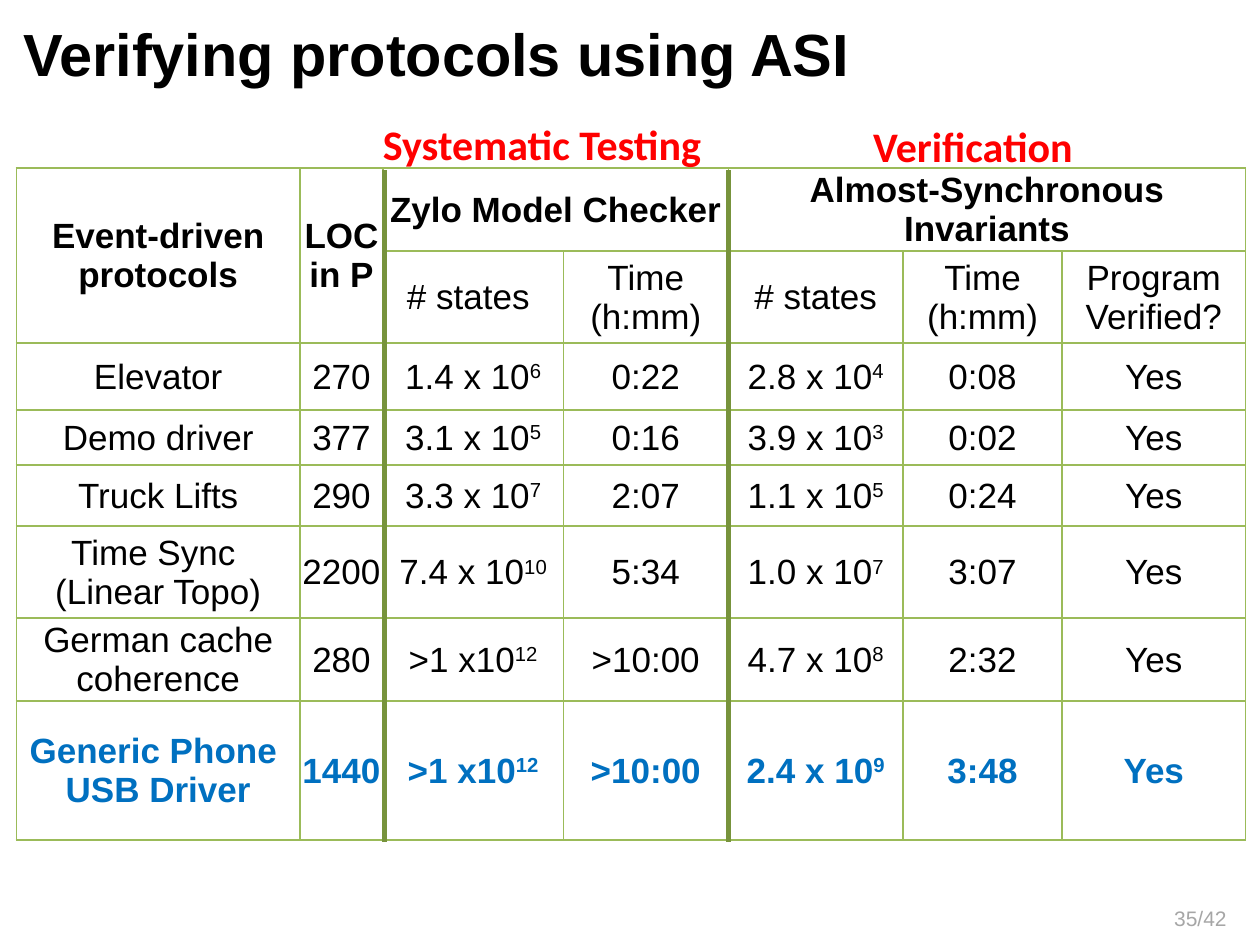
from pptx import Presentation
from pptx.dml.color import RGBColor
from pptx.enum.shapes import MSO_CONNECTOR
from pptx.enum.text import MSO_ANCHOR, PP_ALIGN
from pptx.oxml import parse_xml
from pptx.oxml.ns import nsdecls
from pptx.util import Pt

LINE = MSO_CONNECTOR.STRAIGHT
TOP, MIDDLE = MSO_ANCHOR.TOP, MSO_ANCHOR.MIDDLE
LEFT, CENTER, RIGHT = PP_ALIGN.LEFT, PP_ALIGN.CENTER, PP_ALIGN.RIGHT
GREEN, BLUE, BLACK = "9BBB59", "0070C0", "000000"

COLS = [162, 47.5, 103, 94.3, 100, 90.7, 105]
ROWS = [47.5, 52.5, 38.2, 31.5, 35, 52.5, 47.5, 79.3]
# "^" starts a superscript, "\v" breaks a line, "\n" starts a paragraph
DATA = [
    ["Event-driven protocols", "LOC\vin P", "Zylo Model Checker", "",
     "Almost-Synchronous\nInvariants", "", ""],
    ["", "", "# states ", "Time (h:mm)", "# states", "Time (h:mm)", "Program Verified?"],
    ["Elevator", "270", "1.4 x 10^6", "0:22", "2.8 x 10^4", "0:08", "Yes"],
    ["Demo driver", "377", "3.1 x 10^5", "0:16", "3.9 x 10^3", "0:02", "Yes"],
    ["Truck Lifts", "290", "3.3 x 10^7", "2:07", "1.1 x 10^5", "0:24", "Yes"],
    ["Time Sync \v(Linear Topo)", "2200", "7.4 x 10^10", "5:34", "1.0 x 10^7", "3:07", "Yes"],
    ["German cache coherence", "280", ">1 x10^12", ">10:00", "4.7 x 10^8", "2:32", "Yes"],
    ["Generic Phone \vUSB Driver", "1440", ">1 x10^12", ">10:00", "2.4 x 10^9", "3:48", "Yes"],
]
SPANS = [((0, 0), (1, 0)), ((0, 1), (1, 1)), ((0, 2), (0, 3)), ((0, 4), (0, 6))]


def rgb(code):
    return RGBColor.from_string(code)


def style(frame, size, color, bold=False, align=LEFT, face="Arial"):
    for para in frame.paragraphs:
        para.alignment = align
        for run in para.runs:
            font = run.font
            font.name, font.size, font.bold = face, Pt(size), bold
            font.color.rgb = rgb(color)


deck = Presentation()
deck.slide_width, deck.slide_height = Pt(720), Pt(540)
slide = deck.slides.add_slide(deck.slide_layouts[5])
shapes = slide.shapes

title = shapes.title
title.left, title.top, title.width, title.height = Pt(6), Pt(6), Pt(678), Pt(72)
title.text_frame.text = "Verifying protocols using ASI"
title.text_frame.vertical_anchor = TOP
style(title.text_frame, 34, BLACK, True)

# Results table
frame = shapes.add_table(len(ROWS), len(COLS), Pt(9.4), Pt(96), Pt(sum(COLS)), Pt(sum(ROWS)))
table = frame.table
table.first_row = table.horz_banding = False
for col, width in zip(table.columns, COLS):
    col.width = Pt(width)
for row, height in zip(table.rows, ROWS):
    row.height = Pt(height)
for first, last in SPANS:
    table.cell(*first).merge(table.cell(*last))

for i, row in enumerate(DATA):
    final = i == len(DATA) - 1
    for j, text in enumerate(row):
        cell = table.cell(i, j)
        cell.margin_left = cell.margin_right = cell.margin_top = Pt(0.7)
        cell.margin_bottom = 0
        cell.vertical_anchor = MIDDLE
        base, _, power = text.partition("^")
        cell.text_frame.text = base
        if power:
            run = cell.text_frame.paragraphs[0].add_run()
            run.text = power
            run.font._element.set("baseline", "30000")
        style(cell.text_frame, 20, BLUE if final else BLACK, i == 0 or final, CENTER)
        props = cell._tc.get_or_add_tcPr()
        for side in ("lnL", "lnR", "lnT", "lnB"):
            props.append(parse_xml(
                f'<a:{side} {nsdecls("a")} w="12700"><a:solidFill>'
                f'<a:srgbClr val="{GREEN}"/></a:solidFill></a:{side}>'))
        cell.fill.background()

# Dividers and headings of the two column groups
for x in (219.6, 416.2):
    rule = shapes.add_connector(LINE, Pt(x), Pt(97.2), Pt(x), Pt(481.3))
    rule.line.color.rgb = rgb("77933C")
    rule.line.width = Pt(3)
    rule._element.spPr.append(parse_xml(f'<a:effectLst {nsdecls("a")}/>'))

for text, x, y, width in (("Systematic Testing", 211.7, 64, 224),
                          ("Verification", 491.8, 65.5, 146)):
    head = shapes.add_textbox(Pt(x), Pt(y), Pt(width), Pt(36)).text_frame
    head.text = text
    head.word_wrap = False
    style(head, 24, "FF0000", True, face="Calibri")

page = shapes.add_textbox(Pt(540), Pt(510), Pt(168), Pt(28.8)).text_frame
page.text = "35/42"
page.word_wrap = True
page.vertical_anchor = MIDDLE
style(page, 12, "A6A6A6", align=RIGHT)

deck.save("out.pptx")
